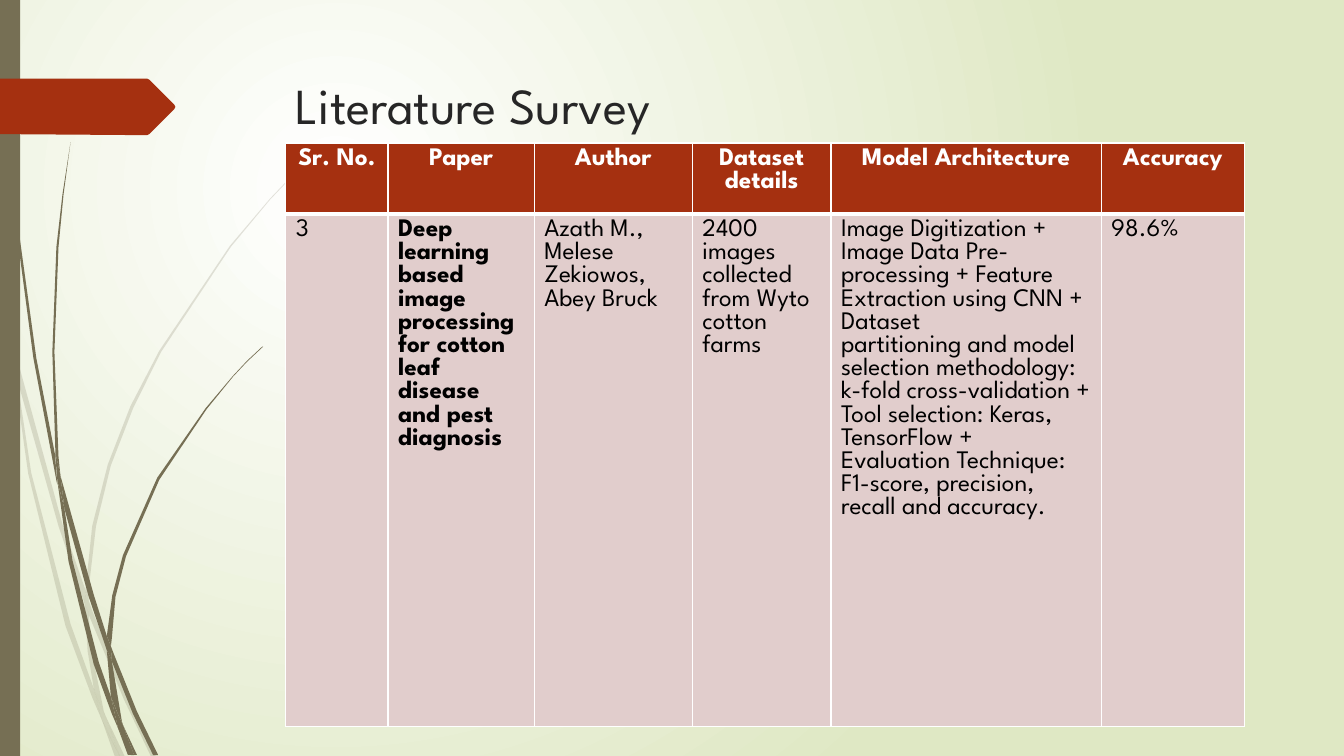
from lxml import etree
from pptx import Presentation
from pptx.dml.color import RGBColor
from pptx.enum.shapes import MSO_SHAPE
from pptx.enum.text import MSO_ANCHOR, PP_ALIGN
from pptx.oxml.ns import qn
from pptx.util import Pt

RECTANGLE = MSO_SHAPE.RECTANGLE
TOP = MSO_ANCHOR.TOP
CENTER = PP_ALIGN.CENTER
LEFT = PP_ALIGN.LEFT

WIDTH, HEIGHT = 960, 540
FONT = "League Spartan"
OLIVE, RUST, ROSE, WHITE = "766F54", "A53010", "E1CDCC", "FFFFFF"

PALE_BLADES = [
    [(7.9, 252), (6.5, 231.8), (0, 203), (0, 215.3), (7.2, 247.7)],
    [(41.8, 375.8), (60.5, 431.3), (61.2, 421.9), (44.6, 374.4), (10.1, 248.4), (12.2, 270.7)],
    [(66.2, 437), (63.4, 429.1), (63.4, 439.2), (88.6, 499.7), (108, 540.7),
     (111.6, 540.7), (91.4, 498.2)],
    [(85.7, 540.7), (89.3, 540.7), (75.6, 511.9)],
    [(67, 491.8), (50.4, 445.7), (22.3, 337.7), (12.2, 270.7), (7.9, 252), (20.2, 338.4),
     (46.8, 447.1), (66.2, 499), (72.7, 514.1), (71.3, 509)],
    [(60.5, 431.3), (62.6, 465.1), (67, 491.8), (69.1, 498.2), (75.6, 511.9),
     (74.2, 508.3), (65.5, 465.1), (63.4, 439.2), (63.4, 437.8)],
    [(63.4, 420.5), (68.6, 375.8), (79.2, 332.6), (95.3, 291.2), (115.2, 251.3),
     (164.9, 176.4), (193, 142.6), (208.8, 126), (224.6, 110.9), (224.6, 110.2),
     (208.1, 126), (193, 141.8), (164.2, 175.7), (113.8, 250.6), (93.2, 290.2),
     (77, 331.9), (65.9, 375.8), (61.2, 420.5), (61.2, 421.9), (63.4, 429.1)],
    [(72.7, 514.1), (82.1, 540.7), (85.7, 540.7)],
    [(63.4, 437.8), (63.4, 439.2), (63.4, 429.1), (61.2, 421.9), (60.5, 431.3)],
    [(69.1, 498.2), (67, 491.8), (71.3, 509), (72.7, 514.1), (85.7, 540.7), (75.6, 511.9)],
]
DARK_BLADES = [
    [(5, 79.2), (12.2, 167.8), (23.8, 255.6), (40.3, 343.4), (41, 346.3), (39.6, 329),
     (39.6, 326.2), (25.9, 255.6), (13.7, 167), (5.8, 78.5), (3.6, 34.6), (2.9, 0),
     (2.2, 0), (2.9, 34.6)],
    [(63.4, 426.2), (76.3, 464.4), (76.3, 455.8), (76.3, 454.3), (67, 424.8),
     (43.2, 339.8), (46.1, 363.6)],
    [(81.4, 467.3), (79.2, 461.5), (79.9, 472.3), (95, 509.8), (109.4, 539.3),
     (113, 539.3), (97.9, 508.3)],
    [(79.2, 497.5), (70.6, 473), (51.8, 400.3), (46.1, 363.6), (41, 343.4), (49, 401),
     (67, 474.5), (79.9, 509.8), (84.2, 519.8), (83.5, 516.2)],
    [(43.2, 339.8), (41.8, 326.2), (38.9, 251.3), (41.8, 176.4), (45.4, 139),
     (50.4, 101.5), (44.6, 139), (40.3, 176.4), (37.4, 251.3), (39.6, 323.3)],
    [(95.8, 539.3), (97.9, 539.3), (87.8, 517.7)],
    [(41, 343.4), (46.1, 363.6), (43.2, 339.8), (39.6, 323.3), (39.6, 326.2)],
    [(79.9, 455.8), (82.5, 426.3), (90, 397.4), (113.8, 342.7), (147.6, 292.3),
     (166.3, 269.3), (176.4, 258.5), (187.9, 247.7), (187.2, 247.7), (176.4, 257.8),
     (166.3, 268.6), (146.9, 291.6), (112.3, 341.3), (87.8, 396.7), (80.2, 425.3),
     (76.3, 454.3), (79.2, 461.5)],
    [(84.2, 519.8), (91.4, 539.3), (94.3, 539.3)],
    [(76.3, 464.4), (79.2, 497.5), (83.5, 508.3), (87.8, 517.7), (87.1, 515.5),
     (79.9, 472.3), (78.5, 468.7)],
    [(76.3, 464.4), (78.5, 468.7), (79.9, 472.3), (79.2, 461.5), (76.3, 454.3)],
    [(83.5, 508.3), (79.2, 497.5), (83.5, 516.2), (84.2, 519.8), (93.6, 539.3),
     (95.8, 539.3), (87.8, 517.7)],
]
ARROW_TAG = [(0, 56.2), (105.1, 56.2), (106.6, 56.9), (124.6, 74.9), (125.3, 76.3),
             (124.6, 77.8), (106.6, 95.8), (105.1, 96.5), (97.9, 96.5), (0, 95.8)]

COLUMN_WIDTHS = [73, 104.4, 113, 99, 193, 102.3]
ROW_HEIGHTS = [48, 366.1]
HEADERS = ["Sr. No.", "Paper", "Author", "Dataset details", "Model Architecture", "Accuracy"]
SURVEY_ROW = [
    ["3"],
    ["Deep learning based image processing for cotton leaf disease and pest diagnosis"],
    ["Azath M., Melese Zekiowos, Abey Bruck"],
    ["2400 images collected from Wyto cotton farms"],
    ["Image Digitization + Image Data Pre-processing + Feature Extraction using CNN + Dataset",
     "partitioning and model selection methodology: k-fold cross-validation +",
     "Tool selection: Keras, TensorFlow +",
     "Evaluation Technique: F1-score, precision, recall and accuracy."],
    ["98.6%"],
]


def color(hex_string):
    """Turn a hex string into a colour."""
    return RGBColor.from_string(hex_string)


def paint(shape, fill, opacity=100):
    """Give a shape a flat fill without line or shadow."""
    shape.shadow.inherit = False
    shape.fill.solid()
    shape.fill.fore_color.rgb = color(fill)
    shape.line.fill.background()
    if opacity < 100:
        tint = next(shape.element.spPr.iter(qn("a:srgbClr")))
        etree.SubElement(tint, qn("a:alpha"), val=str(opacity * 1000))


def write(text_frame, lines, alignment, **font_format):
    """Write lines as paragraphs with the given font values."""
    text_frame.word_wrap = True
    font_color = font_format.pop("color")
    for index, line in enumerate(lines):
        paragraph = text_frame.add_paragraph() if index else text_frame.paragraphs[0]
        paragraph.alignment = alignment
        run = paragraph.add_run()
        run.text = line
        for name, value in {"name": FONT, **font_format}.items():
            setattr(run.font, name, value)
        run.font.color.rgb = color(font_color)


def add_background(slide):
    """Fill the slide with a round gradient centred at upper left."""
    fill = slide.background.fill
    fill.gradient()
    for stop, tone in zip(fill.gradient_stops, (WHITE, "DFE8C4")):
        stop.color.rgb = color(tone)
    gradient = next(slide.element.iter(qn("a:gradFill")))
    radial = etree.Element(qn("a:path"), {"path": "circle"})
    etree.SubElement(radial, qn("a:fillToRect"), l="50000", t="50000", r="100000", b="100000")
    gradient.replace(gradient.find(qn("a:lin")), radial)


def add_outline(shapes, left, top, outline, fill, opacity=100):
    """Draw a filled outline relative to a corner."""
    points = [(Pt(left + x), Pt(top + y)) for x, y in outline]
    builder = shapes.build_freeform(*points[0])
    builder.add_line_segments(points[1:])
    paint(builder.convert_to_shape(), fill, opacity)


def add_side_decoration(slide, left, top, height):
    """Draw the grass, the side strip and the arrow tag."""
    for blades, opacity in ((PALE_BLADES, 20), (DARK_BLADES, 100)):
        grass = slide.shapes.add_group_shape()
        for blade in blades:
            add_outline(grass.shapes, left, top, blade, OLIVE, opacity)
    strip = slide.shapes.add_shape(RECTANGLE, Pt(left), Pt(top), Pt(14.4), Pt(height))
    paint(strip, OLIVE)
    add_outline(slide.shapes, left, top, ARROW_TAG, RUST)


def add_title(slide, left, top, width, height):
    """Write the slide title."""
    box = slide.shapes.add_textbox(Pt(left), Pt(top), Pt(width), Pt(height))
    box.text_frame.vertical_anchor = TOP
    write(box.text_frame, ["Literature Survey"], LEFT, size=Pt(36), color="262626")


def add_borders(cell, bottom_width):
    """Draw white borders around a cell."""
    properties = cell._tc.get_or_add_tcPr()
    widths = {"lnL": 1, "lnR": 1, "lnT": 1, "lnB": bottom_width}
    for index, (side, width) in enumerate(widths.items()):
        line = etree.Element(qn("a:" + side), w=str(Pt(width)))
        fill = etree.SubElement(line, qn("a:solidFill"))
        etree.SubElement(fill, qn("a:srgbClr"), val=WHITE)
        properties.insert(index, line)


def add_survey_table(slide, left, top):
    """Build the literature table at the given corner."""
    frame = slide.shapes.add_table(
        len(ROW_HEIGHTS), len(COLUMN_WIDTHS), Pt(left), Pt(top),
        Pt(sum(COLUMN_WIDTHS)), Pt(sum(ROW_HEIGHTS)))
    table = frame.table
    for column, width in zip(table.columns, COLUMN_WIDTHS):
        column.width = Pt(width)
    for row, height in zip(table.rows, ROW_HEIGHTS):
        row.height = Pt(height)
    for index, (header, lines) in enumerate(zip(HEADERS, SURVEY_ROW)):
        header_cell, body_cell = table.cell(0, index), table.cell(1, index)
        for cell, fill, bottom_width in ((header_cell, RUST, 3), (body_cell, ROSE, 1)):
            cell.fill.solid()
            cell.fill.fore_color.rgb = color(fill)
            add_borders(cell, bottom_width)
        write(header_cell.text_frame, [header], CENTER, size=Pt(18), bold=True, color=WHITE)
        write(body_cell.text_frame, lines, LEFT, size=Pt(18),
              bold=header == "Paper", color="000000")


def main():
    """Build the slide and save it."""
    presentation = Presentation()
    presentation.slide_width, presentation.slide_height = Pt(WIDTH), Pt(HEIGHT)
    slide = presentation.slides.add_slide(presentation.slide_layouts[6])
    add_background(slide)
    add_side_decoration(slide, 0, 0, HEIGHT)
    add_title(slide, 204.2, 49.4, 702, 100.8)
    add_survey_table(slide, 204.2, 102.2)
    presentation.save("out.pptx")


if __name__ == "__main__":
    main()
